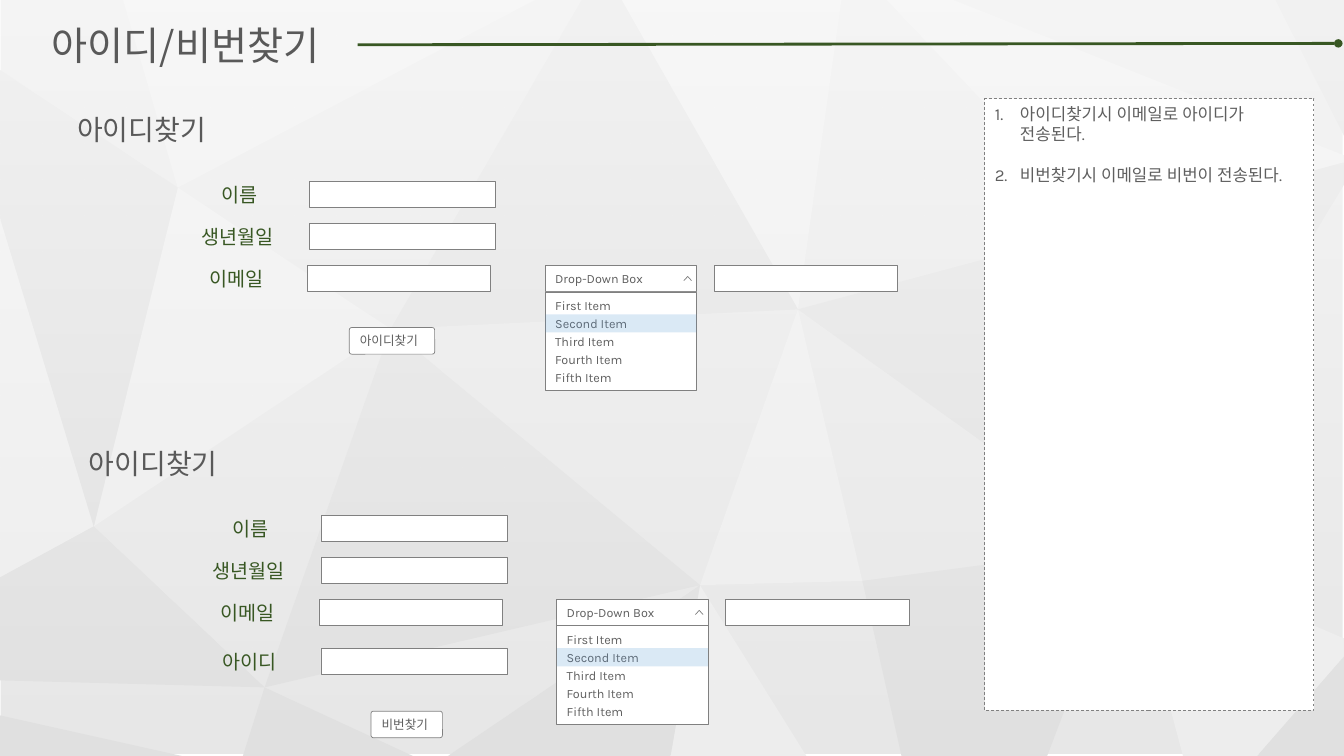
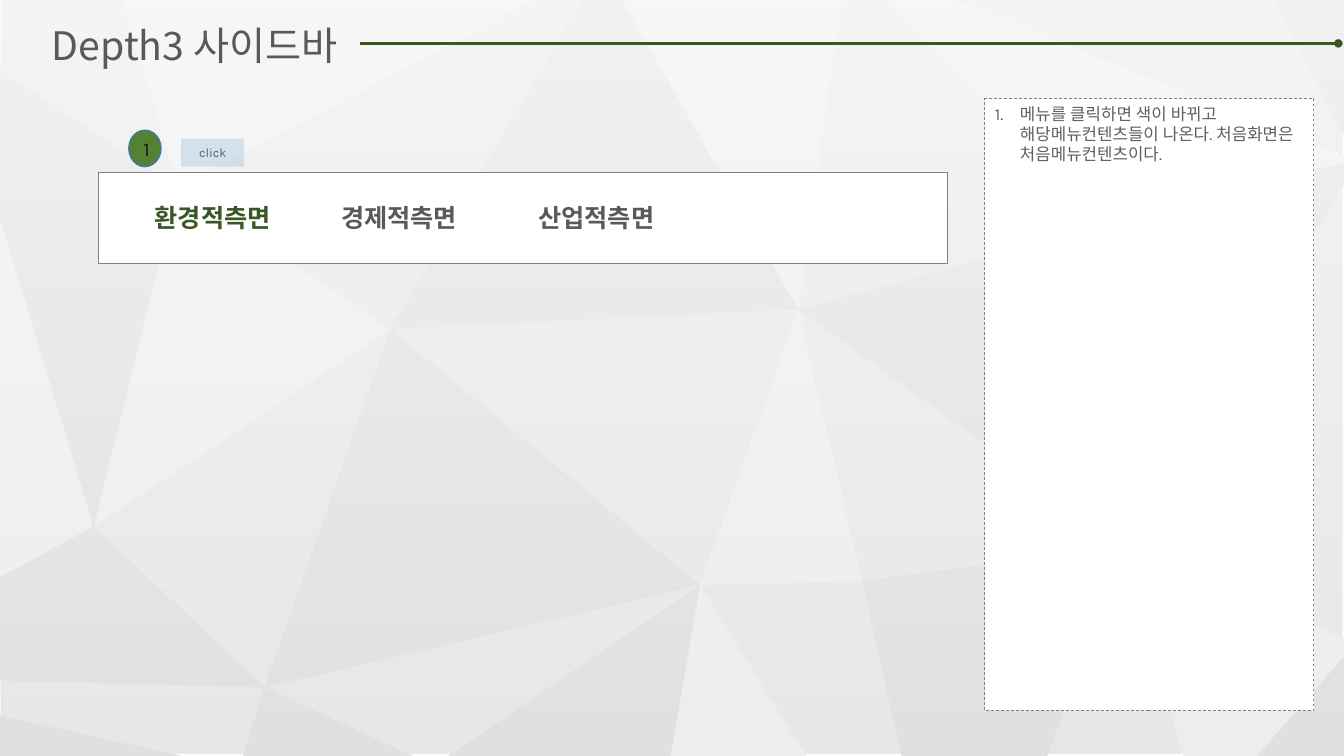
from dataclasses import dataclass

from lxml import etree
from pptx import Presentation
from pptx.dml.color import RGBColor
from pptx.enum.dml import MSO_LINE
from pptx.enum.shapes import MSO_CONNECTOR, MSO_SHAPE
from pptx.enum.text import MSO_ANCHOR, PP_ALIGN
from pptx.oxml.ns import qn
from pptx.util import Pt

RECT, ROUNDED, OVAL = MSO_SHAPE.RECTANGLE, MSO_SHAPE.ROUNDED_RECTANGLE, MSO_SHAPE.OVAL
STRAIGHT, DASH = MSO_CONNECTOR.STRAIGHT, MSO_LINE.DASH
TOP, MIDDLE = MSO_ANCHOR.TOP, MSO_ANCHOR.MIDDLE
LEFT, CENTER, JUSTIFY = PP_ALIGN.LEFT, PP_ALIGN.CENTER, PP_ALIGN.JUSTIFY


@dataclass(frozen=True)
class Theme:
    width: int = 960
    height: int = 540
    heading_font: str = "Noto Sans CJK KR"
    body_font: str = "Karla"
    white: str = "FFFFFF"
    backdrop: str = "E7E7E7"
    facet_light: str = "EDEDED"
    facet_dark: str = "E0E0E0"
    green: str = "385723"
    marker: str = "548235"
    marker_edge: str = "43739E"
    marker_text: str = "181717"
    highlight: str = "5B9BD5"
    highlight_alpha: int = 22
    outline: str = "808080"
    heading: str = "595959"
    body: str = "5F5F5F"
    title_size: int = 28
    section_size: int = 20
    menu_size: int = 18
    label_size: int = 14
    note_size: int = 12
    control_size: int = 9


@dataclass(frozen=True)
class TextStyle:
    size: int
    color: str
    font: str
    bold: bool = False


THEME = Theme()
TITLE = TextStyle(THEME.title_size, THEME.heading, THEME.heading_font)
SECTION = TextStyle(THEME.section_size, THEME.heading, THEME.heading_font)
LABEL = TextStyle(THEME.label_size, THEME.green, THEME.heading_font)
MENU = TextStyle(THEME.menu_size, THEME.heading, THEME.heading_font, True)
MENU_ACTIVE = TextStyle(THEME.menu_size, THEME.green, THEME.heading_font, True)
NOTE = TextStyle(THEME.note_size, THEME.body, THEME.body_font)
CONTROL = TextStyle(THEME.control_size, THEME.body, THEME.body_font)
MARKER = TextStyle(THEME.label_size, THEME.marker_text, THEME.body_font)

# Corners shared by neighbouring background facets
WEST, NORTHWEST, SOUTHWEST = (67, 376), (127, 134), (189, 491)
INNER, MID, SOUTH = (279, 235), (570, 221), (500, 418)
SOUTH_MID, EAST = (616, 415), (805, 390)
LIGHT_FACETS = (
    (SOUTH, (479, 540), (576, 540)),
    (MID, SOUTH, SOUTH_MID),
    (EAST, (845, 540), (898, 540), (960, 469), (960, 456)),
    ((0, 155.5), (0, 412.5), WEST),
    ((633.5, 0), (788, 163), (960, 116), (960, 111), (681, 0)),
    (WEST, INNER, NORTHWEST),
    ((88, 0), NORTHWEST, (382, 0)),
    ((444, 0), MID, (601, 0)),
)
DARK_FACETS = (
    (WEST, (0, 412.5), (0, 486), SOUTHWEST),
    (SOUTHWEST, (173.5, 540), (295, 540)),
    ((960, 469), (898, 540), (960, 540)),
    ((0, 511), (0, 540), (130, 540)),
    (EAST, SOUTH_MID, (644, 540), (748, 540)),
    (SOUTH, (320, 540), (479, 540)),
    ((960, 116), MID, EAST, (960, 132)),
    (SOUTH, INNER, SOUTHWEST),
    ((911, 0), (960, 97), (960, 0)),
    ((0, 50), (0, 155.5), WEST, NORTHWEST),
    ((415.5, 0), INNER, MID, (444, 0)),
)


def rgb(color):
    return RGBColor.from_string(color)


def set_alpha(fill_parent, percent):
    """Give every RGB colour under fill_parent the same opacity."""
    for color in fill_parent.iter(qn("a:srgbClr")):
        etree.SubElement(color, qn("a:alpha")).set("val", str(percent * 1000))


def paint(shape, fill=None, line=None, weight=0.5):
    shape.shadow.inherit = False
    if fill:
        shape.fill.solid()
        shape.fill.fore_color.rgb = rgb(fill)
    else:
        shape.fill.background()
    if line:
        shape.line.color.rgb = rgb(line)
        shape.line.width = Pt(weight)
    else:
        shape.line.fill.background()
    return shape


def add_box(shapes, box, fill=THEME.white, line=THEME.outline, kind=RECT, weight=0.5):
    shape = shapes.add_shape(kind, *map(Pt, box))
    return paint(shape, fill, line, weight)


def add_highlight(shapes, box):
    shape = add_box(shapes, box, THEME.highlight, None)
    set_alpha(shape.element.spPr, THEME.highlight_alpha)
    return shape


def add_outline(shapes, points, closed=True):
    corners = [(Pt(x), Pt(y)) for x, y in points]
    builder = shapes.build_freeform(*corners[0])
    builder.add_line_segments(corners[1:], close=closed)
    return builder.convert_to_shape()


def write(shape, lines, style, align=LEFT, anchor=TOP, wrap=True, insets=None, after=0):
    """Fill shape with one paragraph per line; insets are left, top, right, bottom."""
    frame = shape.text_frame
    frame.word_wrap, frame.vertical_anchor = wrap, anchor
    if insets:
        (frame.margin_left, frame.margin_top,
         frame.margin_right, frame.margin_bottom) = map(Pt, insets)
    for index, line in enumerate(lines):
        para = frame.add_paragraph() if index else frame.paragraphs[0]
        para.alignment, para.space_after = align, Pt(after)
        span = para.add_run()
        span.text = line
        font = span.font
        font.size, font.bold, font.name = Pt(style.size), style.bold, style.font
        font.color.rgb = rgb(style.color)
        east_asian = etree.SubElement(span._r.get_or_add_rPr(), qn("a:ea"))
        east_asian.set("typeface", style.font)
    return frame


def add_text(shapes, box, text, style, align=LEFT, wrap=True):
    write(shapes.add_textbox(*map(Pt, box)), [text], style, align, wrap=wrap)


def add_background(deck, page):
    """Draw the faceted backdrop and move it to the master all pages share."""
    shapes = page.shapes
    add_box(shapes, (0.5, 0, 958.5, 538.5), THEME.backdrop, None)
    for color, facets in ((THEME.facet_light, LIGHT_FACETS), (THEME.facet_dark, DARK_FACETS)):
        for points in facets:
            paint(add_outline(shapes, points), color)
    veil = add_box(shapes, (0, 0, THEME.width, THEME.height), None, None)
    veil.fill.gradient()
    veil.fill.gradient_angle = 270
    for stop, alpha in zip(veil.fill.gradient_stops, (60, 0)):
        stop.color.rgb = rgb(THEME.white)
        set_alpha(stop._gs, alpha)
    master_tree = deck.slide_master.shapes.element
    for number, shape in enumerate(list(shapes), start=100):
        shape.element.nvSpPr.cNvPr.set("id", str(number))
        master_tree.append(shape.element)


def add_header(page, title, rule_start):
    add_text(page.shapes, (30, 11.5, 265, 41), title, TITLE)
    rule = page.shapes.add_connector(STRAIGHT, *map(Pt, (*rule_start, 956, 31)))
    rule.line.color.rgb = rgb(THEME.green)
    rule.line.width = Pt(2)
    etree.SubElement(rule.line._get_or_add_ln(), qn("a:tailEnd")).set("type", "oval")
    etree.SubElement(rule._element.spPr, qn("a:effectLst"))


def add_notes_panel(page, notes):
    panel = add_box(page.shapes, (703.5, 70.5, 235, 437))
    panel.line.dash_style = DASH
    frame = write(panel, notes, NOTE, after=14.5)
    for para in frame.paragraphs:
        properties = para._p.get_or_add_pPr()
        properties.set("marL", str(Pt(18)))
        properties.set("indent", str(-Pt(18)))
        etree.SubElement(properties, qn("a:buAutoNum")).set("type", "arabicPeriod")


def add_drop_down(page, left, top):
    shapes = page.shapes.add_group_shape().shapes
    width, height = 108, 19
    head = add_box(shapes, (left, top, width, height))
    write(head, ["Drop-Down Box"], CONTROL, anchor=MIDDLE, insets=(7.2, 4.3, 20, 4.3))
    x, y = left + 99, top + 11
    arrow = add_outline(shapes, ((x, y), (x + 2.75, y - 3), (x + 5.5, y)), closed=False)
    paint(arrow, line=THEME.outline)
    choices = add_box(shapes, (left, top + height, width, 70.5))
    names = [f"{order} Item" for order in ("First", "Second", "Third", "Fourth", "Fifth")]
    write(choices, names, CONTROL, insets=(7.2, 4.3, 7.2, 4.3), after=2)
    add_highlight(shapes, (left, top + 35, width, 13))


def add_field(page, label, center, left, top, width):
    label_width = 14.4 * len(label) + 13.7
    box = (center - label_width / 2, top - 2.5, label_width, 24.5)
    add_text(page.shapes, box, label, LABEL, JUSTIFY, wrap=False)
    add_box(page.shapes, (left, top, width, 19))


def add_button(page, text, box):
    button = add_box(page.shapes, box, kind=ROUNDED)
    button.adjustments[0] = 0.09
    write(button, [text], CONTROL, anchor=MIDDLE, wrap=False)


def add_search_form(page, left, top, heading, button, button_box, extra=()):
    """Place a form; left and top are those of its heading box."""
    add_text(page.shapes, (left, top, 162, 31.5), heading, SECTION)
    center, field_left, first = left + 124.25, left + 173, top + 52.5
    email_top = first + 60
    for row, label in enumerate(("이름", "생년월일")):
        add_field(page, label, center, field_left, first + 30 * row, 133)
    add_field(page, "이메일", center - 1.5, field_left - 1.5, email_top, 131)
    for row, label in enumerate(extra, start=1):
        add_field(page, label, center, field_left, email_top + 35 * row, 133)
    add_drop_down(page, left + 341.5, email_top)
    add_box(page.shapes, (left + 462, email_top, 131, 19))
    add_button(page, button, button_box)


def build_account_page(page):
    add_header(page, "아이디/비번찾기", (255.5, 32))
    add_notes_panel(page, ["아이디찾기시 이메일로 아이디가 전송된다.",
                           "비번찾기시 이메일로 비번이 전송된다."])
    add_search_form(page, 48, 77, "아이디찾기", "아이디찾기", (249.5, 234, 61, 19))
    add_search_form(page, 56.25, 315.5, "아이디찾기", "비번찾기", (265, 508, 51, 19),
                    extra=["아이디"])


def build_sidebar_page(page):
    shapes = page.shapes
    add_header(page, "Depth3 사이드바", (257, 31))
    add_notes_panel(page, ["메뉴를 클릭하면 색이 바뀌고 해당메뉴컨텐츠들이 나온다. "
                           "처음화면은 처음메뉴컨텐츠이다."])
    marker = add_box(shapes, (92, 93, 23, 26), THEME.marker, THEME.marker_edge, OVAL, 1)
    write(marker, ["1"], MARKER, CENTER, MIDDLE)
    write(add_highlight(shapes, (129.5, 99, 45, 20)), ["click"], CONTROL, CENTER, MIDDLE)
    add_box(shapes, (70.5, 123, 606.5, 65))
    menu = (("환경적측면", 99.5, MENU_ACTIVE), ("경제적측면", 232.5, MENU),
            ("산업적측면", 373.5, MENU))
    for name, left, style in menu:
        add_text(shapes, (left, 141, 105, 29), name, style, CENTER, wrap=False)


def main():
    deck = Presentation()
    deck.slide_width, deck.slide_height = Pt(THEME.width), Pt(THEME.height)
    blank = deck.slide_layouts[6]
    account, sidebar = (deck.slides.add_slide(blank) for _ in range(2))
    add_background(deck, account)
    build_account_page(account)
    build_sidebar_page(sidebar)
    deck.save("out.pptx")


if __name__ == "__main__":
    main()
